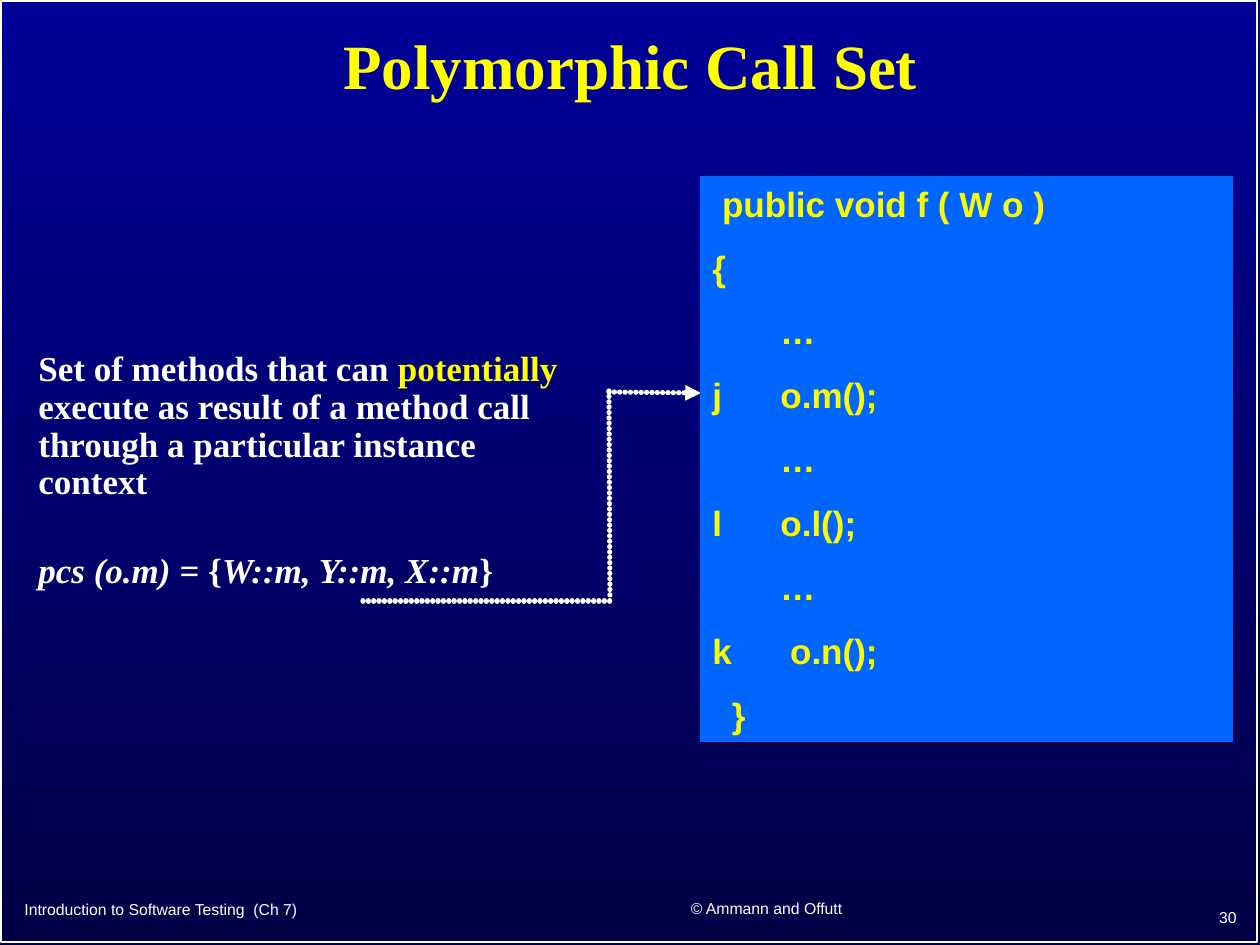
from dataclasses import dataclass

from lxml.etree import SubElement
from pptx import Presentation
from pptx.dml.color import RGBColor
from pptx.enum.shapes import MSO_CONNECTOR, MSO_SHAPE
from pptx.enum.text import MSO_ANCHOR, PP_ALIGN
from pptx.oxml.ns import qn
from pptx.util import Emu, Pt

EMU_PER_PX = 914400 / 126

WHITE = RGBColor(0xFF, 0xFF, 0xFF)
YELLOW = RGBColor(0xFF, 0xFF, 0x00)
CODE_YELLOW = RGBColor(0xFA, 0xFD, 0x00)
CODE_BLUE = RGBColor(0x00, 0x66, 0xFF)
TOP_BLUE = RGBColor(0x00, 0x00, 0x99)
BOTTOM_BLUE = RGBColor(0x00, 0x00, 0x47)

SANS = "Arial"
SERIF = "Times New Roman"


@dataclass(frozen=True)
class Area:
    left: int
    top: int
    width: int
    height: int


@dataclass(frozen=True)
class Label:
    text: str
    area: Area
    align: PP_ALIGN
    size: int = 9
    name: str = SANS
    color: RGBColor = WHITE
    bold: bool = False
    line_spacing: float = 1.0


@dataclass(frozen=True)
class Span:
    text: str
    color: RGBColor = WHITE
    italic: bool = False


@dataclass(frozen=True)
class Segment:
    start: tuple[int, int]
    end: tuple[int, int]
    arrow: bool = False


FRAME = Area(1, 1, 1256, 941)
DEFINITION = Area(26, 345, 580, 318)
CODE = Area(700, 176, 533, 566)

LABELS = [
    Label("30", Area(987, 891, 262, 53), PP_ALIGN.RIGHT),
    Label("Introduction to Software Testing  (Ch 7)", Area(12, 885, 534, 48), PP_ALIGN.LEFT),
    Label("© Ammann and Offutt", Area(567, 884, 399, 49), PP_ALIGN.CENTER),
    Label("Polymorphic Call Set", Area(95, 8, 1071, 122), PP_ALIGN.CENTER, 36, SERIF, YELLOW, True, 0.9),
]

DEFINITION_PARAGRAPHS = [
    [
        Span("Set of methods that can "),
        Span("potentially", YELLOW),
        Span(" execute as result of a method call through a particular instance context"),
    ],
    [
        Span("pcs (o.m)", italic=True),
        Span(" = {"),
        Span("W::m, Y::m, X::m", italic=True),
        Span("}"),
    ],
]

SEGMENTS = [
    Segment((363, 601), (611, 601)),
    Segment((609, 391), (610, 600)),
    Segment((609, 392), (701, 393), arrow=True),
]

CODE_LINES = [
    " public void f ( W o )",
    "{",
    "       …",
    "j      o.m();",
    "       …",
    "l      o.l();",
    "       …",
    "k      o.n();",
    "  }",
]


def px(length: int) -> Emu:
    return Emu(round(length * EMU_PER_PX))


def place(area: Area) -> tuple[Emu, Emu, Emu, Emu]:
    return px(area.left), px(area.top), px(area.width), px(area.height)


def set_font(font, size: int, name: str, color: RGBColor, bold: bool) -> None:
    font.size, font.name, font.bold = Pt(size), name, bold
    font.color.rgb = color


def paint_background(page) -> None:
    fill = page.background.fill
    fill.gradient()
    fill.gradient_angle = 270
    for stop, color in zip(fill.gradient_stops, (TOP_BLUE, BOTTOM_BLUE)):
        stop.color.rgb = color


def add_rectangle(page, area: Area):
    box = page.shapes.add_shape(MSO_SHAPE.RECTANGLE, *place(area))
    box.shadow.inherit = False
    return box


def add_frame(page) -> None:
    box = add_rectangle(page, FRAME)
    box.fill.background()
    box.line.color.rgb = WHITE
    box.line.width = Pt(1)


def add_label(page, label: Label) -> None:
    box = page.shapes.add_textbox(*place(label.area))
    box.text_frame.word_wrap = True
    box.text_frame.vertical_anchor = MSO_ANCHOR.MIDDLE
    para = box.text_frame.paragraphs[0]
    para.text = label.text
    para.alignment = label.align
    para.line_spacing = label.line_spacing
    set_font(para.font, label.size, label.name, label.color, label.bold)


def add_definition(page) -> None:
    box = page.shapes.add_textbox(*place(DEFINITION))
    frame = box.text_frame
    frame.word_wrap = True
    for index, spans in enumerate(DEFINITION_PARAGRAPHS):
        para = frame.add_paragraph() if index else frame.paragraphs[0]
        para.line_spacing = 0.9
        para.space_before = Pt(29 if index else 0)
        set_font(para.font, 20, SERIF, WHITE, True)
        for span in spans:
            run = para.add_run()
            run.text = span.text
            run.font.color.rgb = span.color
            run.font.italic = span.italic


def add_segment(page, segment: Segment) -> None:
    ends = [px(value) for value in segment.start + segment.end]
    connector = page.shapes.add_connector(MSO_CONNECTOR.STRAIGHT, *ends)
    connector.line.color.rgb = WHITE
    connector.line.width = Pt(3)
    properties = connector._element.spPr
    outline = properties.find(qn("a:ln"))
    outline.set("cap", "rnd")
    dashes = SubElement(outline, qn("a:custDash"))
    SubElement(dashes, qn("a:ds"), d="100000", sp="2000")
    if segment.arrow:
        SubElement(outline, qn("a:tailEnd"), type="triangle")
    SubElement(properties, qn("a:effectLst"))


def add_code(page) -> None:
    box = add_rectangle(page, CODE)
    box.fill.solid()
    box.fill.fore_color.rgb = CODE_BLUE
    box.line.fill.background()
    frame = box.text_frame
    frame.word_wrap = True
    frame.vertical_anchor = MSO_ANCHOR.TOP
    for index, line in enumerate(CODE_LINES):
        para = frame.add_paragraph() if index else frame.paragraphs[0]
        para.text = line
        para.alignment = PP_ALIGN.LEFT
        para.space_before = Pt(12.5 if index else 0)
        set_font(para.font, 20, SANS, CODE_YELLOW, True)


def main() -> None:
    deck = Presentation()
    deck.slide_width, deck.slide_height = px(1260), px(945)
    page = deck.slides.add_slide(deck.slide_layouts[6])
    paint_background(page)
    add_frame(page)
    for label in LABELS:
        add_label(page, label)
    add_definition(page)
    for segment in SEGMENTS:
        add_segment(page, segment)
    add_code(page)
    deck.save("out.pptx")


if __name__ == "__main__":
    main()
